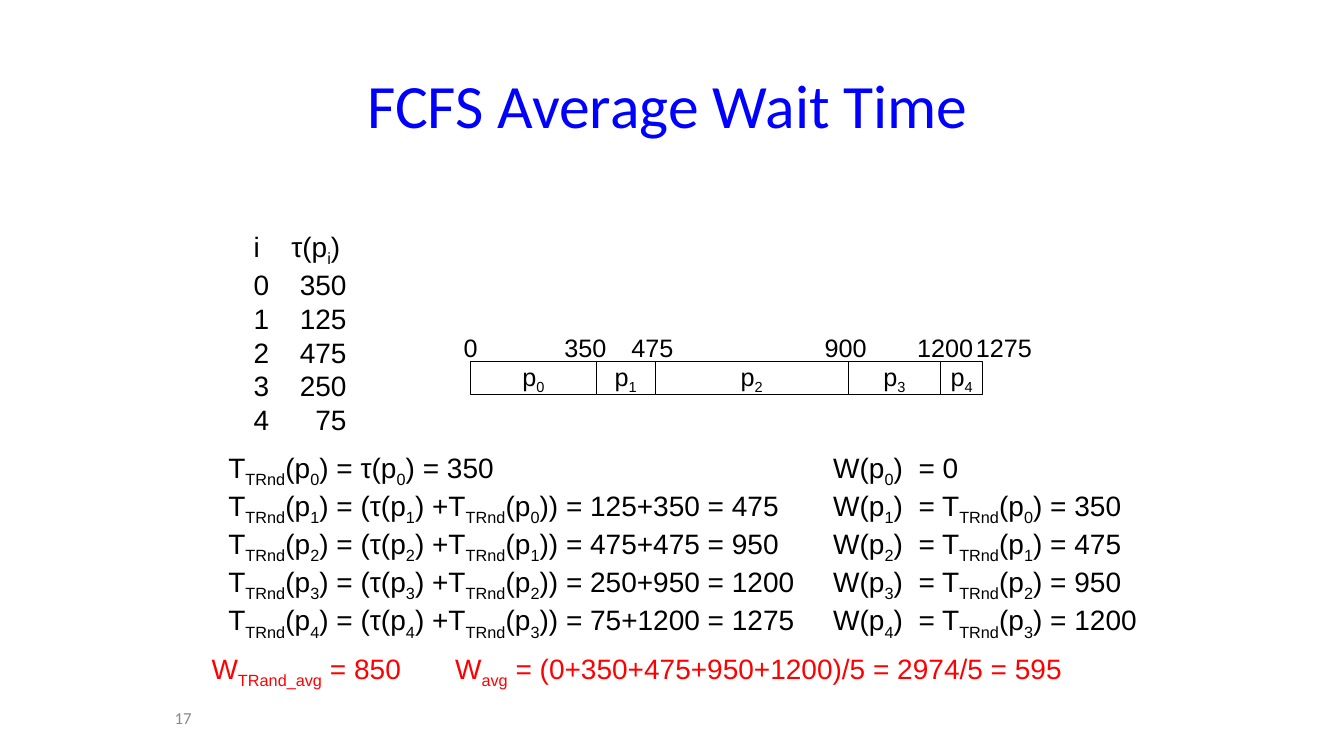
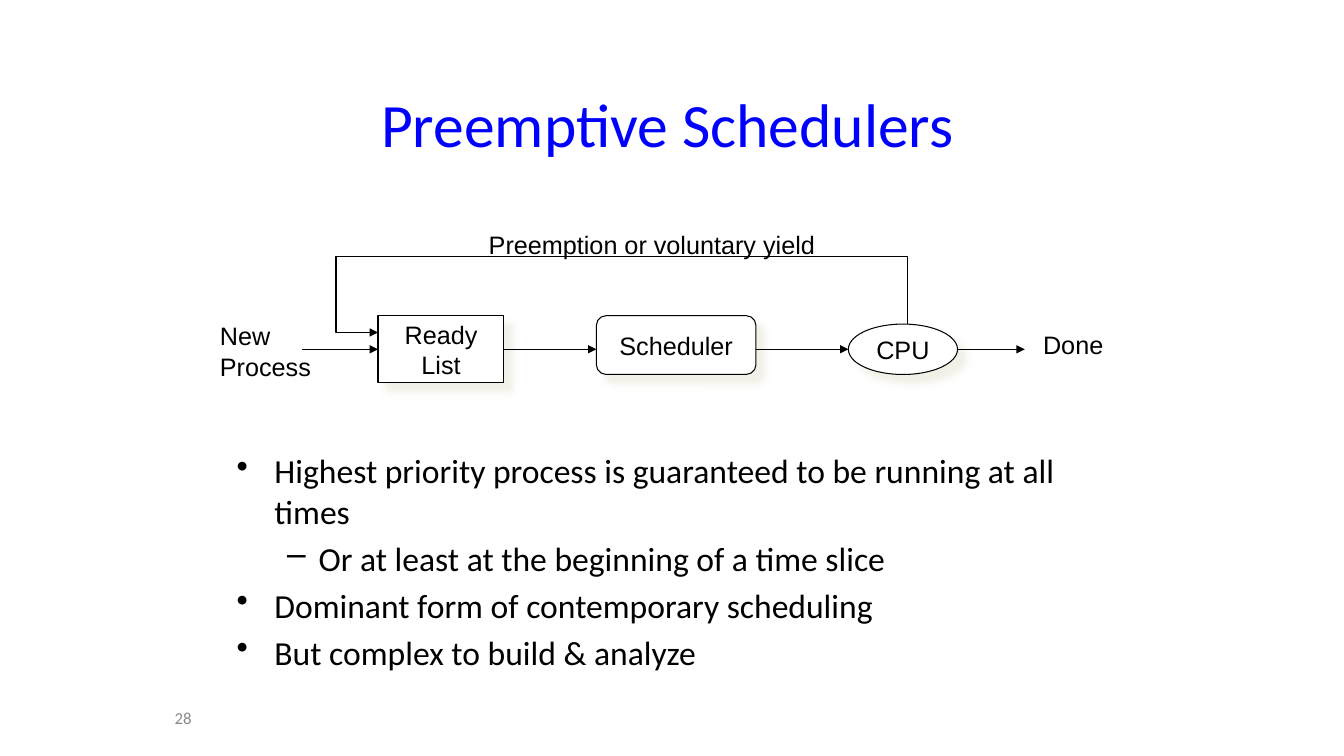
from itertools import accumulate

from lxml import etree
from pptx import Presentation
from pptx.dml.color import RGBColor
from pptx.enum import shapes, text
from pptx.oxml.ns import qn
from pptx.util import Pt

BLACK, WHITE, BLUE, RED = "000000", "FFFFFF", "0000FF", "FF0000"
GREY, SHADOW = "898989", "EEECE1"
BODY, HEADING = "Arial", "Calibri"
LEFT, CENTER, RIGHT = text.PP_ALIGN.LEFT, text.PP_ALIGN.CENTER, text.PP_ALIGN.RIGHT
BULLETS = [("•", 27, 27), ("–", 58.5, 22.5)]  # mark, indent, hang for each level


def rgb(color):
    return RGBColor.from_string(color)


def child(parent, tag, **attrs):
    return etree.SubElement(parent, qn(tag), {k: str(v) for k, v in attrs.items()})


def write(tf, lines, size=18, font=BODY, color=BLACK, align=LEFT, tabs=(),
          levels=(), gap=0, wrap=False, anchor=text.MSO_ANCHOR.TOP):
    """Fill a frame, one paragraph a line; ~marks~ enclose subscripts."""
    tf.word_wrap = wrap
    tf.vertical_anchor = anchor
    for i, line in enumerate(lines):
        p = tf.add_paragraph() if i else tf.paragraphs[0]
        p.alignment = align
        if i and gap:
            p.space_before = Pt(gap)
        pPr = p._p.get_or_add_pPr()
        if levels:
            p.level = levels[i]
            mark, indent, hang = BULLETS[levels[i]]
            pPr.set("marL", str(Pt(indent)))
            pPr.set("indent", str(-Pt(hang)))
            child(pPr, "a:buChar", char=mark)
        if tabs:
            pos, side = tabs[i]
            child(child(pPr, "a:tabLst"), "a:tab", pos=Pt(pos), algn=side)
        for n, part in enumerate(line.split("~")):
            if not part:
                continue
            r = p.add_run()
            r.text = part
            r.font.size, r.font.name = Pt(size), font
            r.font.color.rgb = rgb(color)
            if n % 2:
                r.font._element.set("baseline", "-25000")


class Deck:
    def __init__(self):
        self.prs = Presentation()
        self.prs.slide_width, self.prs.slide_height = Pt(960), Pt(540)

    def new_slide(self, title, title_top, number):
        self.s = self.prs.slides.add_slide(self.prs.slide_layouts[6])
        middle = text.MSO_ANCHOR.MIDDLE
        self.label([title], 174, title_top, 606, 60, size=44, font=HEADING,
                   color=BLUE, align=CENTER, wrap=True, anchor=middle)
        self.label([number], 40, 498, 104, 29, size=12, font=HEADING,
                   color=GREY, align=RIGHT, wrap=True, anchor=middle)

    def label(self, lines, x, y, w, h, **style):
        sp = self.s.shapes.add_textbox(Pt(x), Pt(y), Pt(w), Pt(h))
        write(sp.text_frame, lines, **style)

    def outline(self, line, arrow=False):
        line.color.rgb = rgb(BLACK)
        line.width = Pt(0.75)
        if arrow:
            child(line._get_or_add_ln(), "a:tailEnd", type="triangle")

    def box(self, kind, lines, x, y, w, h, shadow=False):
        sp = self.s.shapes.add_shape(kind, Pt(x), Pt(y), Pt(w), Pt(h))
        sp.shadow.inherit = False
        sp.fill.solid()
        sp.fill.fore_color.rgb = rgb(WHITE)
        self.outline(sp.line)
        if shadow:
            effects = sp._element.spPr.find(qn("a:effectLst"))
            outer = child(effects, "a:outerShdw", blurRad=Pt(5), dist=Pt(8.5),
                          dir=45 * 60000, algn="tl", rotWithShape=0)
            child(child(outer, "a:srgbClr", val=SHADOW), "a:alpha", val=75000)
        tf = sp.text_frame
        tf.margin_left = tf.margin_right = tf.margin_top = tf.margin_bottom = 0
        write(tf, lines, align=CENTER, anchor=text.MSO_ANCHOR.MIDDLE)

    def arrow(self, x1, x2, y):
        c = self.s.shapes.add_connector(shapes.MSO_CONNECTOR.STRAIGHT,
                                        Pt(x1), Pt(y), Pt(x2), Pt(y))
        self.outline(c.line, arrow=True)
        child(c._element.spPr, "a:effectLst")

    def bent_arrow(self, *points):
        start, *rest = [(Pt(x), Pt(y)) for x, y in points]
        builder = self.s.shapes.build_freeform(*start)
        builder.add_line_segments(rest, close=False)
        sp = builder.convert_to_shape()
        sp.shadow.inherit = False
        sp.fill.background()
        self.outline(sp.line, arrow=True)


def wait_time_slide(deck):
    deck.new_slide("FCFS Average Wait Time", 44, "17")
    bursts = [350, 125, 475, 250, 75]
    finish = list(accumulate(bursts))

    deck.label(["i\tτ(p~i~)"] + [f"{i}\t{b}" for i, b in enumerate(bursts)],
               174, 160.5, 84, 153, size=20, wrap=True,
               tabs=[(27, "l")] + [(66.5, "r")] * len(bursts))

    x = 336
    for i, w in enumerate([90, 42, 138, 66, 30]):
        deck.box(shapes.MSO_SHAPE.RECTANGLE, [f"p~{i}~"], x, 258, w, 24)
        x += w
    for time, x in [("0", 324), ("350", 396), ("475", 444), ("900", 582),
                    ("1200", 648), ("1275", 690)]:
        deck.label([time], x, 234, 14.4 + 10 * len(time), 29)

    turnaround = ["T~TRnd~(p~0~) = τ(p~0~) = 350"]
    waits = ["W(p~0~)\t= 0"]
    for i in range(1, len(bursts)):
        before = f"T~TRnd~(p~{i - 1}~)"
        turnaround.append(f"T~TRnd~(p~{i}~) = (τ(p~{i}~) +{before}) = "
                          f"{bursts[i]}+{finish[i - 1]} = {finish[i]}")
        waits.append(f"W(p~{i}~)\t= {before} = {finish[i - 1]}")
    deck.label(turnaround, 156, 318, 433, 128, size=20)
    deck.label(waits, 588, 318, 250, 128, size=20, wrap=True,
               tabs=[(61, "l")] * len(waits))

    deck.label(["W~TRand_avg~ = 850"], 144, 462, 159, 32, size=20, color=RED)
    deck.label(["W~avg~ = (0+350+475+950+1200)/5 = 2974/5 = 595"],
               318, 462, 453, 32, size=20, color=RED)


def preemptive_slide(deck):
    deck.new_slide("Preemptive Schedulers", 58, "28")
    kinds = shapes.MSO_SHAPE
    deck.box(kinds.RECTANGLE, ["Ready", "List"], 270, 225.5, 90, 48, shadow=True)
    deck.box(kinds.ROUNDED_RECTANGLE, ["Scheduler"], 426, 225.5, 114, 42, shadow=True)
    deck.box(kinds.OVAL, ["CPU"], 606, 231.5, 78, 36, shadow=True)
    for x1, x2 in [(216, 270), (360, 426), (540, 606), (684, 732)]:
        deck.arrow(x1, x2, 249.5)
    deck.bent_arrow((648, 231.5), (648, 183.5), (240, 183.5), (240, 237.5), (270, 237.5))

    deck.label(["Preemption or voluntary yield"], 342, 160, 250, 29)
    deck.label(["Done"], 738, 232, 58, 29)
    deck.label(["New", "Process"], 150, 225.5, 80, 51)
    deck.label(["Highest priority process is guaranteed to be running at all times",
                "Or at least at the beginning of a time slice",
                "Dominant form of contemporary scheduling",
                "But complex to build & analyze"],
               162, 318, 612, 186, size=24, font=HEADING, wrap=True,
               levels=[0, 1, 0, 0], gap=4.8)


def main():
    deck = Deck()
    wait_time_slide(deck)
    preemptive_slide(deck)
    deck.prs.save("out.pptx")


if __name__ == "__main__":
    main()
